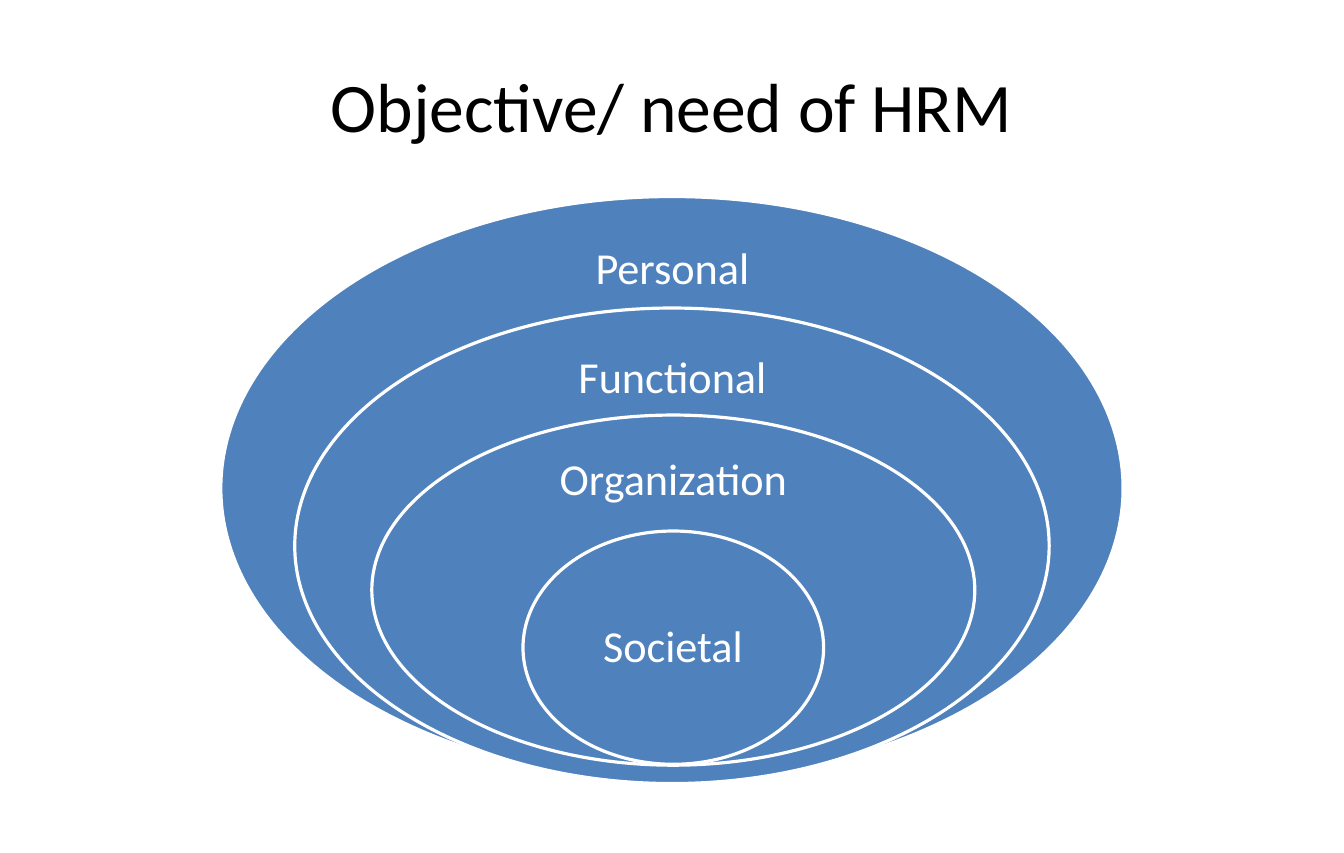
from dataclasses import dataclass

from pptx import Presentation
from pptx.dml.color import RGBColor
from pptx.enum.shapes import MSO_SHAPE
from pptx.enum.text import MSO_ANCHOR, PP_ALIGN
from pptx.slide import Slide
from pptx.util import Cm, Pt

ELLIPSE = MSO_SHAPE.OVAL
MIDDLE = MSO_ANCHOR.MIDDLE
CENTER = PP_ALIGN.CENTER

BLACK = RGBColor(0x00, 0x00, 0x00)
WHITE = RGBColor(0xFF, 0xFF, 0xFF)
BLUE = RGBColor(0x4F, 0x81, 0xBD)

SLIDE_WIDTH, SLIDE_HEIGHT = 30, 19.05
BLANK_LAYOUT = 6


@dataclass(frozen=True)
class Area:
    """An area in centimetres, placed by its horizontal centre."""
    center: float
    top: float
    width: float
    height: float

    def bounds(self) -> tuple[Cm, Cm, Cm, Cm]:
        left = self.center - self.width / 2
        return Cm(left), Cm(self.top), Cm(self.width), Cm(self.height)


@dataclass(frozen=True)
class Objective:
    name: str
    ring: Area
    label: Area


TITLE_AREA = Area(15, 0.76, 27, 3.18)
OBJECTIVES = (
    Objective("Personal", Area(15, 4.39, 20.14, 13.03), Area(15.01, 5.05, 5.64, 1.96)),
    Objective("Functional", Area(15, 6.88, 16.84, 10.62), Area(15.01, 7.52, 5.89, 1.91)),
    Objective("Organization", Area(15.03, 9.27, 13.46, 7.82), Area(15.03, 9.86, 6.27, 1.75)),
    Objective("Societal", Area(15.03, 11.86, 6.71, 5.21), Area(15.02, 13.16, 4.75, 2.62)),
)


def add_text(page: Slide, text: str, area: Area, size: float, color: RGBColor,
             inset: float, line_spacing: float) -> None:
    frame = page.shapes.add_textbox(*area.bounds()).text_frame
    margins = dict.fromkeys(
        ("margin_left", "margin_top", "margin_right", "margin_bottom"), Cm(inset))
    para = frame.paragraphs[0]
    span = para.add_run()
    span.text = text
    span.font.color.rgb = color
    formats = (
        (frame, {"word_wrap": True, "vertical_anchor": MIDDLE, **margins}),
        (para, {"alignment": CENTER, "line_spacing": line_spacing}),
        (span.font, {"name": "Calibri", "size": Pt(size)}),
    )
    for target, values in formats:
        for attribute, value in values.items():
            setattr(target, attribute, value)


def add_ring(page: Slide, area: Area) -> None:
    ring = page.shapes.add_shape(ELLIPSE, *area.bounds())
    ring.shadow.inherit = False
    ring.fill.solid()
    ring.fill.fore_color.rgb = BLUE
    ring.line.color.rgb = WHITE
    ring.line.width = Pt(2)


def main() -> None:
    deck = Presentation()
    deck.slide_width = Cm(SLIDE_WIDTH)
    deck.slide_height = Cm(SLIDE_HEIGHT)
    page = deck.slides.add_slide(deck.slide_layouts[BLANK_LAYOUT])

    add_text(page, "Objective/ need of HRM", TITLE_AREA, 44, BLACK,
             inset=0.25, line_spacing=1.0)
    for objective in OBJECTIVES:
        add_ring(page, objective.ring)
        add_text(page, objective.name, objective.label, 28, WHITE,
                 inset=0.55, line_spacing=0.9)

    deck.save("out.pptx")


if __name__ == "__main__":
    main()
